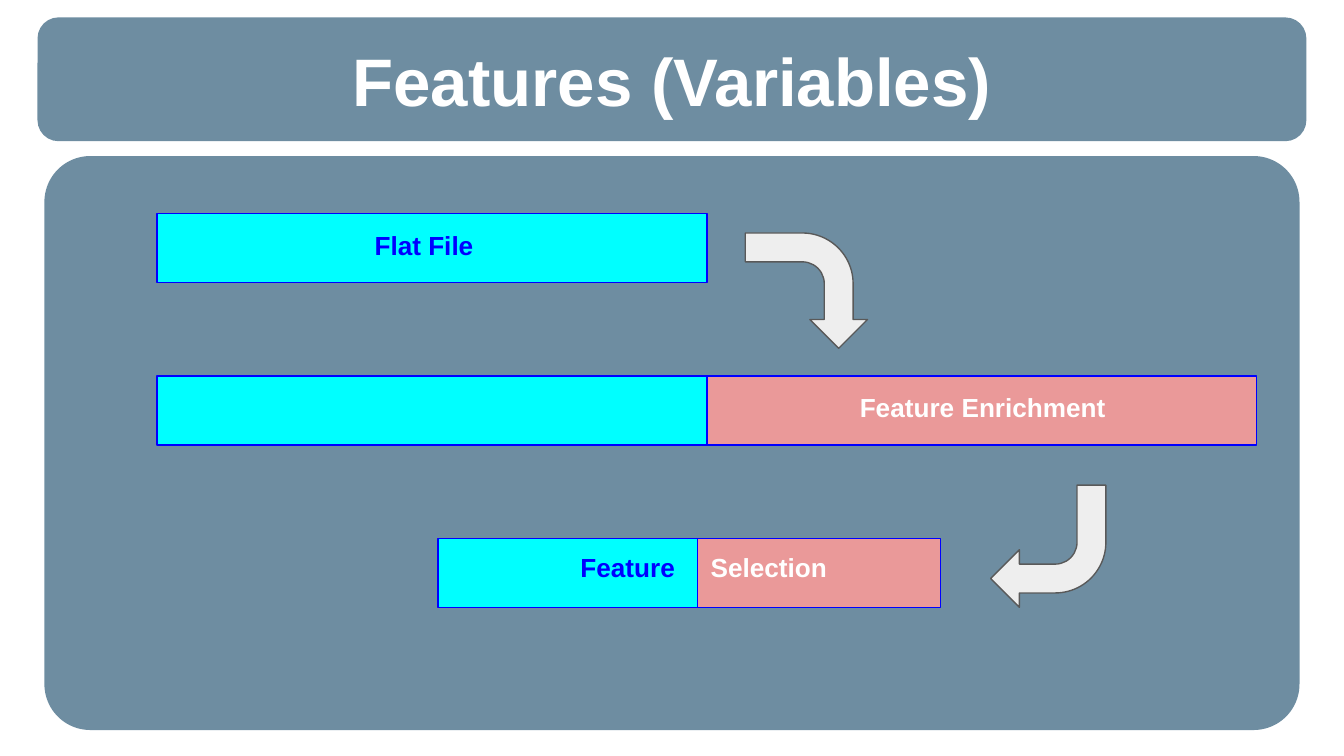
from dataclasses import dataclass

from lxml.etree import SubElement as Sub
from pptx import Presentation as Deck
from pptx.dml.color import RGBColor as Rgb
from pptx.enum.shapes import MSO_SHAPE as Form
from pptx.enum.text import MSO_ANCHOR as Anchor, PP_ALIGN as Align
from pptx.oxml.ns import qn
from pptx.util import Cm, Pt


@dataclass(frozen=True)
class Theme:
    font: str = "Arial"
    panel: str = "215170"
    cyan: str = "00FFFF"
    blue: str = "0000FF"
    pink: str = "EA9999"
    white: str = "FFFFFF"
    light: str = "EEEEEE"
    gray: str = "595959"
    head: int = 36
    body: int = 14
    edge: float = 0.75
    inset: float = 0.25
    alpha: int = 65


class Painter:
    def __init__(self, slide, theme):
        self.slide = slide
        self.theme = theme

    def shape(self, form, box, fill, line=None):
        item = self.slide.shapes.add_shape(form, *map(Cm, box))
        item.shadow.inherit = False
        item.fill.solid()
        item.fill.fore_color.rgb = Rgb.from_string(fill)
        if line:
            item.line.color.rgb = Rgb.from_string(line)
            item.line.width = Pt(self.theme.edge)
        else:
            item.line.fill.background()
        return item

    def panel(self, box, curve):
        item = self.shape(Form.ROUNDED_RECTANGLE, box, self.theme.panel)
        item.adjustments[0] = curve
        color = item.element.find(".//" + qn("a:srgbClr"))
        Sub(color, qn("a:alpha"), val=str(self.theme.alpha * 1000))

    def bar(self, left, top, width, fill):
        self.shape(Form.RECTANGLE, (left, top, width, 1.3), fill, self.theme.blue)

    def arrow(self, left, top, angle):
        box = (left, top, 2.18, 2.31)
        item = self.shape(Form.BENT_ARROW, box, self.theme.light, self.theme.gray)
        item.rotation = angle
        for i, value in enumerate((0.25, 0.25, 0.25, 0.44)):
            item.adjustments[i] = value

    def text(self, frame, runs, size, anchor, align):
        frame.word_wrap = True
        frame.vertical_anchor = anchor
        gap = Cm(self.theme.inset)
        frame.margin_left = frame.margin_right = gap
        frame.margin_top = frame.margin_bottom = gap
        para = frame.paragraphs[0]
        para.alignment = align
        for words, color in runs:
            run = para.add_run()
            run.text = words
            run.font.name = self.theme.font
            run.font.size = Pt(size)
            run.font.bold = True
            run.font.color.rgb = Rgb.from_string(color)

    def title(self, words, box):
        item = self.slide.shapes.title
        item.left, item.top, item.width, item.height = map(Cm, box)
        runs = [(words, self.theme.white)]
        self.text(item.text_frame, runs, self.theme.head, Anchor.MIDDLE, Align.CENTER)
        item.element.getparent().append(item.element)

    def label(self, left, top, width, runs, tab=None):
        item = self.slide.shapes.add_textbox(*map(Cm, (left, top, width, 1.22)))
        self.text(item.text_frame, runs, self.theme.body, Anchor.TOP, Align.LEFT)
        if tab:
            stops = Sub(item.element.find(".//" + qn("a:pPr")), qn("a:tabLst"))
            Sub(stops, qn("a:tab"), pos=str(Cm(tab)), algn="l")


def main():
    deck = Deck()
    deck.slide_width, deck.slide_height = Cm(25.4), Cm(14.29)
    theme = Theme()
    art = Painter(deck.slides.add_slide(deck.slide_layouts[5]), theme)

    art.panel((0.71, 0.33, 23.98, 2.34), 0.17)
    art.panel((0.84, 2.95, 23.72, 10.85), 0.08)
    art.title("Features (Variables)", (0.84, 0.74, 23.72, 1.52))

    left, wide = 2.97, 10.39
    first, second, third = (4.04 + 3.07 * i for i in range(3))
    for x, y, width, fill in (
        (left, first, wide, theme.cyan),
        (left, second, wide, theme.cyan),
        (left + wide, second, wide, theme.pink),
        (8.28, third, 4.9, theme.cyan),
        (13.18, third, 4.6, theme.pink),
    ):
        art.bar(x, y, width, fill)

    art.label(6.83, first + 0.04, 2.62, [("Flat File", theme.blue)])
    art.label(16, second + 0.04, 5.61, [("Feature Enrichment", theme.white)])
    pair = [("Feature\t", theme.blue), ("Selection", theme.white)]
    art.label(10.72, third, 5.31, pair, tab=2.46)

    art.arrow(14.15, 4.34, 90)
    art.arrow(18.72, 9.17, 180)
    deck.save("out.pptx")


if __name__ == "__main__":
    main()
